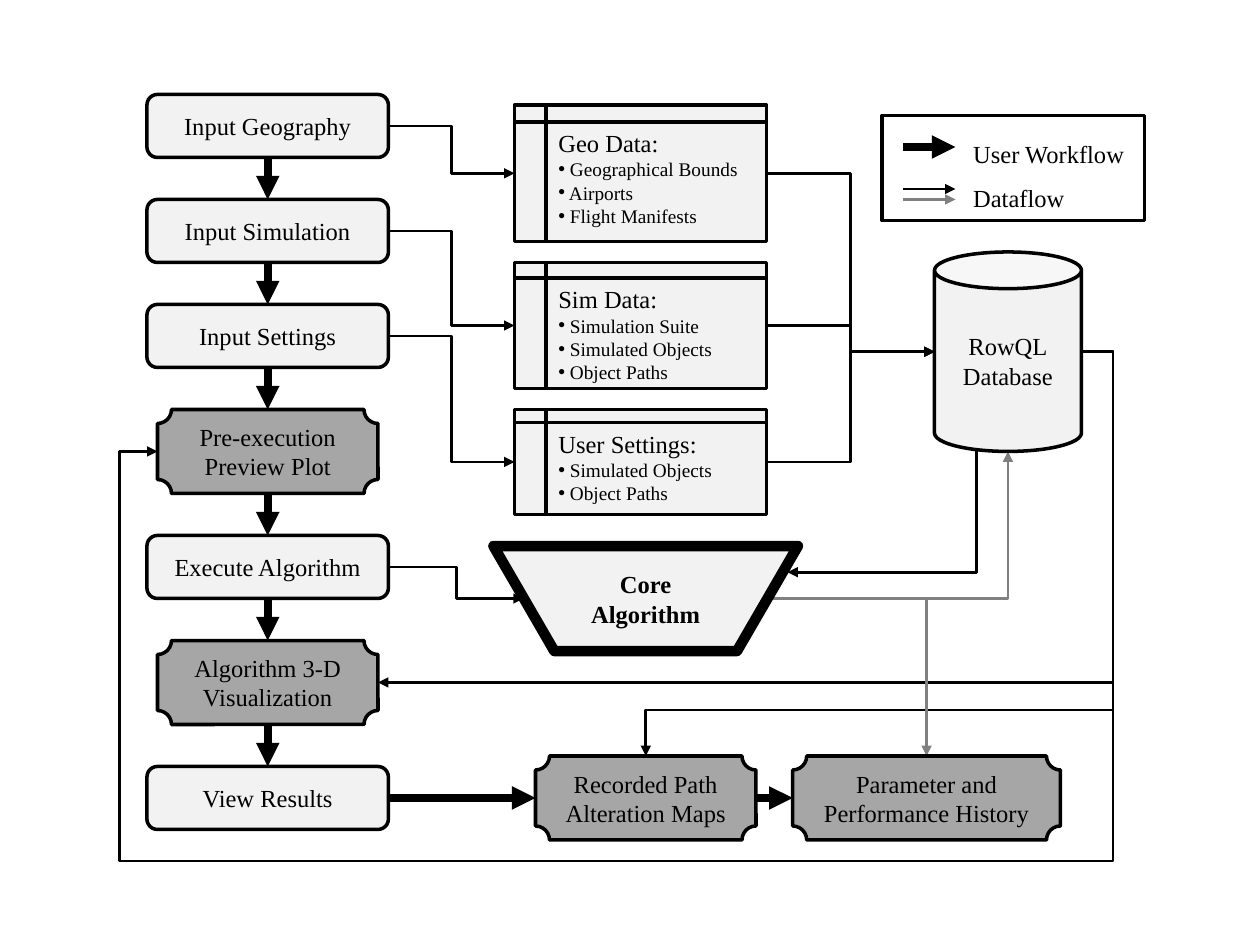
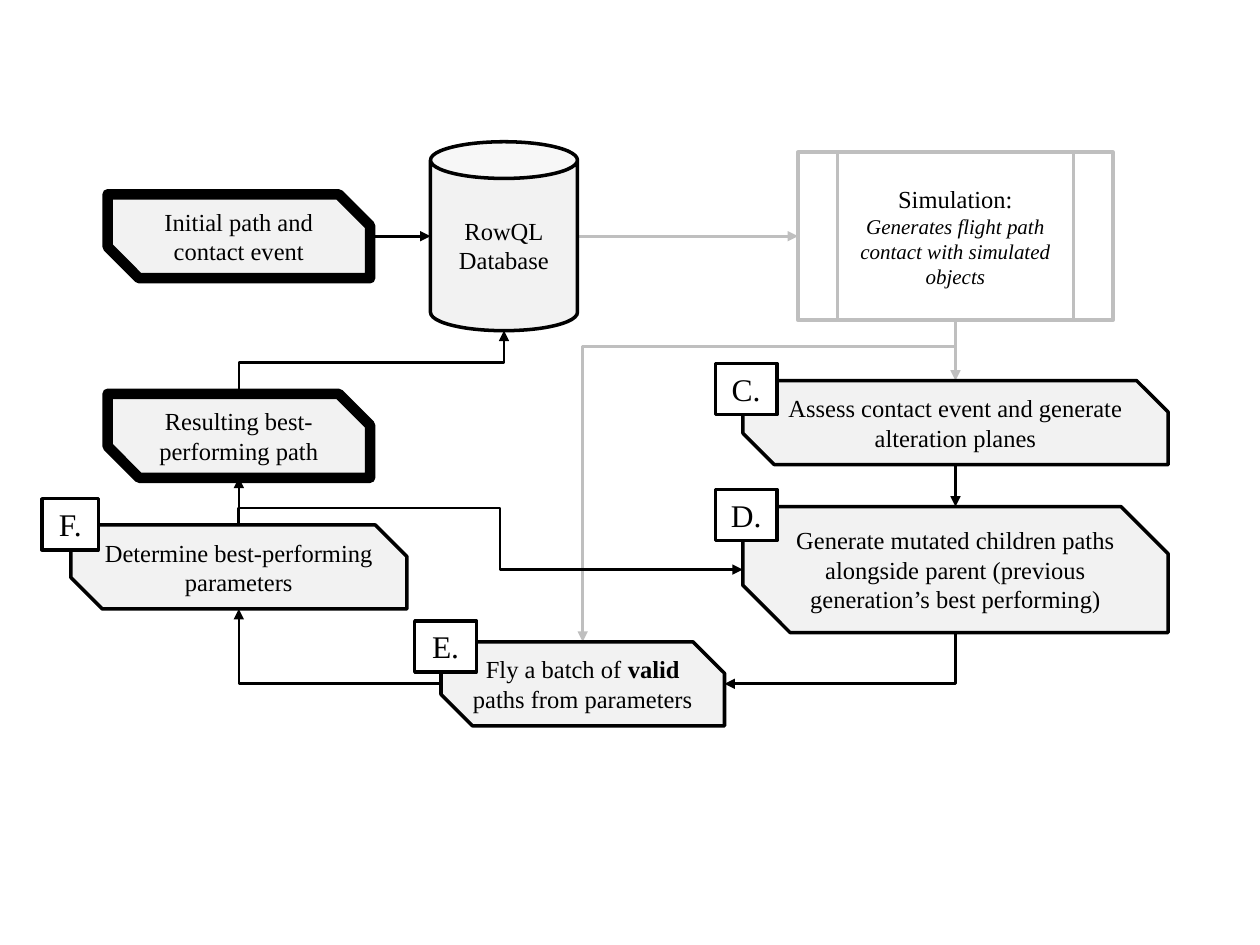
from lxml.etree import SubElement
from pptx import Presentation
from pptx.dml.color import RGBColor
from pptx.enum.shapes import MSO_CONNECTOR, MSO_SHAPE
from pptx.enum.text import MSO_ANCHOR, PP_ALIGN
from pptx.oxml.ns import qn
from pptx.util import Emu, Pt

PX = 9525
FONT = "Times New Roman"
BLACK, WHITE = "000000", "FFFFFF"
PALE, DARK = "F2F2F2", "A6A6A6"
GREY, SILVER = "808080", "BFBFBF"
THICK = 4.5


def px(length):
    """Turn whole pixels into EMU."""
    return Emu(length * PX)


def color(code):
    """Turn a hex string into a colour."""
    return RGBColor.from_string(code)


class Diagram:
    """Draws flowchart elements on the current slide in one style."""

    def __init__(self):
        """Open an empty deck of 960 by 720 pixels."""
        self.deck = Presentation()
        self.deck.slide_width, self.deck.slide_height = px(960), px(720)

    def new_page(self):
        """Start a blank slide."""
        self.page = self.deck.slides.add_slide(self.deck.slide_layouts[6])

    def box(self, kind, frame, fill=PALE, line=BLACK, weight=2):
        """Add a filled and outlined preset shape."""
        box = self.page.shapes.add_shape(kind, *map(px, frame))
        box.shadow.inherit = False
        box.fill.solid()
        box.fill.fore_color.rgb = color(fill)
        box.line.color.rgb = color(line)
        box.line.width = Pt(weight)
        box.text_frame.word_wrap = True
        box.text_frame.vertical_anchor = MSO_ANCHOR.MIDDLE
        return box

    def para(self, box, *runs, size=14, bold=False, italic=False, align=PP_ALIGN.CENTER):
        """Add a paragraph of runs, where a run is text or (text, bold)."""
        frame = box.text_frame
        para = frame.paragraphs[0]
        if para.runs:
            para = frame.add_paragraph()
        para.alignment = align
        for run in runs:
            text, strong = (run, bold) if isinstance(run, str) else run
            span = para.add_run()
            span.text = text
            span.font.name, span.font.size = FONT, Pt(size)
            span.font.bold, span.font.italic = strong, italic
            span.font.color.rgb = color(BLACK)
        return para

    def node(self, kind, frame, text, size=14, bold=False, **style):
        """Add a shape with one centred paragraph."""
        box = self.box(kind, frame, **style)
        self.para(box, text, size=size, bold=bold)
        return box

    def store(self, frame, title, items):
        """Add a data store with a title and bulleted items."""
        box = self.box(MSO_SHAPE.FLOWCHART_INTERNAL_STORAGE, frame)
        box.text_frame.vertical_anchor = MSO_ANCHOR.TOP
        self.para(box, title, align=PP_ALIGN.LEFT)
        for item in items:
            para = self.para(box, f" {item}", size=11, align=PP_ALIGN.LEFT)
            props = para._p.get_or_add_pPr()
            SubElement(props, qn("a:buFont"), typeface="Arial")
            SubElement(props, qn("a:buChar"), char="•")

    def database(self, frame):
        """Add the database cylinder."""
        box = self.box(MSO_SHAPE.CAN, frame)
        for word in ("RowQL", "Database"):
            self.para(box, word)

    def step(self, frame, *runs, weight=2):
        """Add an algorithm step with two snipped corners."""
        box = self.box(MSO_SHAPE.SNIP_2_DIAG_RECTANGLE, frame, weight=weight)
        box.adjustments[0], box.adjustments[1] = 0, 0.375
        self.para(box, *runs)

    def arrow(self, start, *stops, line=BLACK, weight=1.5):
        """Draw a straight connector, or a bent path, that ends in an arrowhead."""
        shapes = self.page.shapes
        if len(stops) == 1:
            arrow = shapes.add_connector(
                MSO_CONNECTOR.STRAIGHT, *map(px, start + stops[0]))
        else:
            builder = shapes.build_freeform(*start, scale=PX)
            builder.add_line_segments(stops, close=False)
            arrow = builder.convert_to_shape()
            arrow.fill.background()
        arrow.line.color.rgb = color(line)
        arrow.line.width = Pt(weight)
        SubElement(arrow.line._get_or_add_ln(), qn("a:tailEnd"), type="triangle")
        SubElement(arrow._element.spPr, qn("a:effectLst"))


def draw_workflow(diagram):
    """Draw the user workflow and the data flow around it."""
    diagram.new_page()
    axis, gap = 204, 32
    stages = [
        ("Input Geography", False), ("Input Simulation", False),
        ("Input Settings", False), ("Pre-execution Preview Plot", True),
        ("Execute Algorithm", False), ("Algorithm 3-D Visualization", True),
        ("View Results", False),
    ]
    stores = [
        ("Geo Data:", 104, ["Geographical Bounds", "Airports", "Flight Manifests"]),
        ("Sim Data:", 96, ["Simulation Suite", "Simulated Objects", "Object Paths"]),
        ("User Settings:", 80, ["Simulated Objects", "Object Paths"]),
    ]

    top = 80
    for index, (title, height, items) in enumerate(stores):
        middle, source = top + height // 2, 96 + 80 * index
        diagram.arrow((296, source), (344, source), (344, middle), (392, middle))
        diagram.arrow((584, middle), (648, middle), (648, 268), (712, 268))
        diagram.store((392, top, 192, height), title, items)
        top += height + 16

    trunk = [(824, 268), (848, 268)]
    diagram.arrow(*trunk, (848, 656), (91, 656), (91, 344), (120, 344))
    diagram.arrow(*trunk, (848, 520), (288, 520))
    diagram.arrow(*trunk, (848, 541), (492, 541), (492, 576))
    diagram.arrow((744, 336), (744, 436), (600, 436))
    diagram.arrow((296, 432), (348, 432), (348, 456), (399, 456))
    diagram.arrow((585, 456), (768, 456), (768, 344), line=GREY)
    diagram.arrow((585, 456), (706, 456), (706, 576), line=GREY)

    top = 72
    for text, is_output in stages:
        if top > 72:
            diagram.arrow((axis, top - gap), (axis, top), weight=THICK)
        if is_output:
            width, height, kind, fill = 168, 64, MSO_SHAPE.PLAQUE, DARK
        else:
            width, height, kind, fill = 184, 48, MSO_SHAPE.ROUNDED_RECTANGLE, PALE
        diagram.node(kind, (axis - width // 2, top, width, height), text, fill=fill)
        top += height + gap

    for start, left, width, text in [
        (296, 408, 168, "Recorded Path Alteration Maps"),
        (576, 604, 204, "Parameter and Performance History"),
    ]:
        diagram.arrow((start, 608), (left, 608), weight=THICK)
        diagram.node(MSO_SHAPE.PLAQUE, (left, 576, width, 64), text, fill=DARK)

    diagram.database((712, 192, 112, 152))
    diagram.node(MSO_SHAPE.FLOWCHART_MANUAL_OPERATION, (376, 416, 232, 80),
                 "Core Algorithm", bold=True, weight=6)

    legend = diagram.box(MSO_SHAPE.RECTANGLE, (672, 88, 200, 80), fill=WHITE)
    for label in ("User Workflow", "Dataflow"):
        para = diagram.para(legend, label, align=PP_ALIGN.LEFT)
        para.line_spacing = 1.5
        props = para._p.get_or_add_pPr()
        props.set("marL", str(px(54)))
        props.set("indent", str(px(6)))
    for y, line, weight in [(112, BLACK, THICK), (144, BLACK, 1.5), (152, GREY, 1.5)]:
        diagram.arrow((688, y), (728, y), line=line, weight=weight)


def draw_algorithm(diagram):
    """Draw the loop of the core algorithm."""
    diagram.new_page()
    diagram.arrow((728, 244), (728, 264), (444, 264), (444, 489), line=SILVER)
    diagram.arrow((728, 244), (728, 290), line=SILVER)
    diagram.arrow((440, 180), (608, 180), line=SILVER)
    for route in [
        [(282, 180), (328, 180)],
        [(182, 300), (182, 276), (384, 276), (384, 252)],
        [(728, 354), (728, 386)],
        [(728, 482), (728, 521), (552, 521)],
        [(336, 521), (182, 521), (182, 464)],
        [(182, 400), (182, 364)],
        [(182, 400), (182, 387), (381, 387), (381, 434), (566, 434)],
    ]:
        diagram.arrow(*route)

    simulation = diagram.node(
        MSO_SHAPE.FLOWCHART_PREDEFINED_PROCESS, (608, 116, 240, 128),
        "Simulation:", fill=WHITE, line=SILVER)
    diagram.para(simulation, "Generates flight path contact with simulated objects",
                 size=12, italic=True)
    diagram.database((328, 108, 112, 144))

    diagram.step((82, 148, 200, 64), "Initial path and contact event", weight=6)
    diagram.step((82, 300, 200, 64), "Resulting best-performing path", weight=6)
    diagram.step((566, 290, 324, 64),
                 "Assess contact event and generate alteration planes")
    diagram.step((566, 386, 324, 96),
                 "Generate mutated children paths alongside parent "
                 "(previous generation’s best performing)")
    diagram.step((336, 489, 216, 64),
                 "Fly a batch of ", ("valid", True), " paths from parameters")
    diagram.step((54, 400, 256, 64), "Determine best-performing parameters")

    for letter, left, top, width in [
        ("C", 545, 277, 47), ("D", 545, 373, 47), ("E", 316, 473, 47), ("F", 32, 380, 43),
    ]:
        diagram.node(MSO_SHAPE.RECTANGLE, (left, top, width, 39), f"{letter}.",
                     size=18, fill=WHITE)


def main():
    """Build both slides and save the deck."""
    diagram = Diagram()
    draw_workflow(diagram)
    draw_algorithm(diagram)
    diagram.deck.save("out.pptx")


if __name__ == "__main__":
    main()
